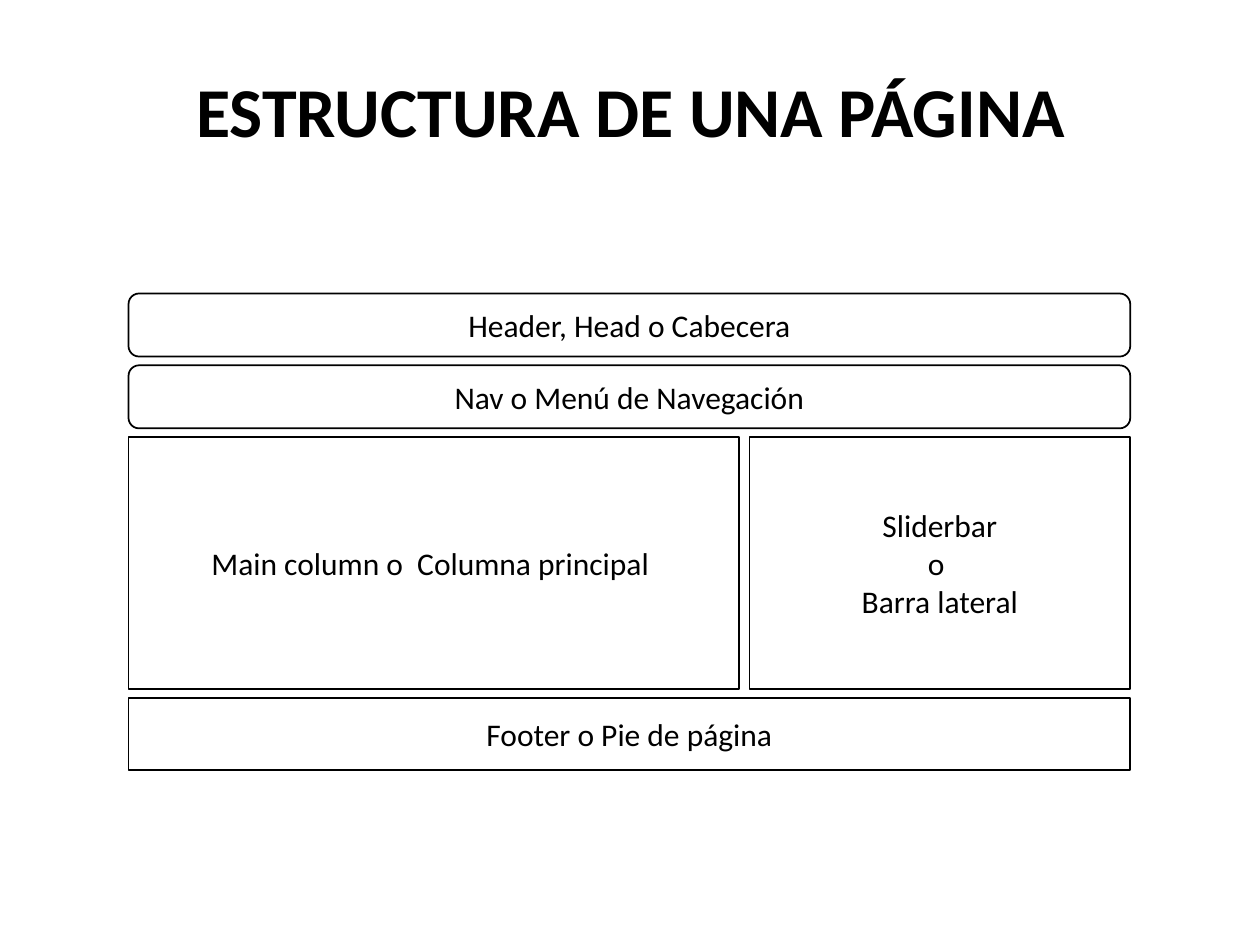
"""Build a slide that shows the blocks of a web page."""
import pptx
import pptx.util
import pptx.dml.color
import pptx.enum.shapes
import pptx.enum.text
from dataclasses import dataclass

Inch = pptx.util.Inches
Pt = pptx.util.Pt
RGB = pptx.dml.color.RGBColor
Kind = pptx.enum.shapes.MSO_SHAPE
Align = pptx.enum.text.PP_ALIGN
Mid = pptx.enum.text.MSO_ANCHOR.MIDDLE


@dataclass
class Theme:
    font: str = "Calibri"
    ink: RGB = RGB(0, 0, 0)
    paper: RGB = RGB(255, 255, 255)
    head: int = 40
    body: int = 18
    line: int = 1


THEME = Theme()
TITLE = "ESTRUCTURA DE UNA PÁGINA"
ROUND, RECT = Kind.ROUNDED_RECTANGLE, Kind.RECTANGLE
ROWS = [
    (0.5, ROUND, [(1, "Header, Head o Cabecera")]),
    (0.5, ROUND, [(1, "Nav o Menú de Navegación")]),
    (2, RECT, [(0.616, "Main column o  Columna principal "),
               (0.384, "Sliderbar\no \nBarra lateral")]),
    (0.57, RECT, [(1, "Footer o Pie de página")]),
]
LEFT, TOP, WIDE = 1.02, 2.33, 7.95
ROW_GAP, COL_GAP = 0.07, 0.08


def write(shape, text, size, bold=False):
    frame = shape.text_frame
    frame.text = text
    frame.word_wrap = True
    frame.vertical_anchor = Mid
    for para in frame.paragraphs:
        para.alignment = Align.CENTER
        for run in para.runs:
            font = run.font
            font.name, font.size, font.bold = THEME.font, Pt(size), bold
            font.color.rgb = THEME.ink


def block(group, kind, box, text):
    shape = group.shapes.add_shape(kind, *map(Inch, box))
    shape.shadow.inherit = False
    shape.fill.solid()
    shape.fill.fore_color.rgb = THEME.paper
    shape.line.color.rgb = THEME.ink
    shape.line.width = Pt(THEME.line)
    write(shape, text, THEME.body)


def main():
    deck = pptx.Presentation()
    deck.slide_width, deck.slide_height = Inch(10), Inch(7.5)
    slide = deck.slides.add_slide(deck.slide_layouts[5])

    title = slide.shapes.title
    title.left, title.top = Inch(0.2), Inch(0.52)
    title.width, title.height = Inch(9.61), Inch(0.79)
    write(title, TITLE, THEME.head, True)
    title.text_frame.paragraphs[0].line_spacing = 0.9

    group = slide.shapes.add_group_shape()
    y = TOP
    for high, kind, cells in ROWS:
        x, room = LEFT, WIDE - COL_GAP * (len(cells) - 1)
        for share, text in cells:
            block(group, kind, (x, y, room * share, high), text)
            x += room * share + COL_GAP
        y += high + ROW_GAP
    deck.save("out.pptx")


if __name__ == "__main__":
    main()
